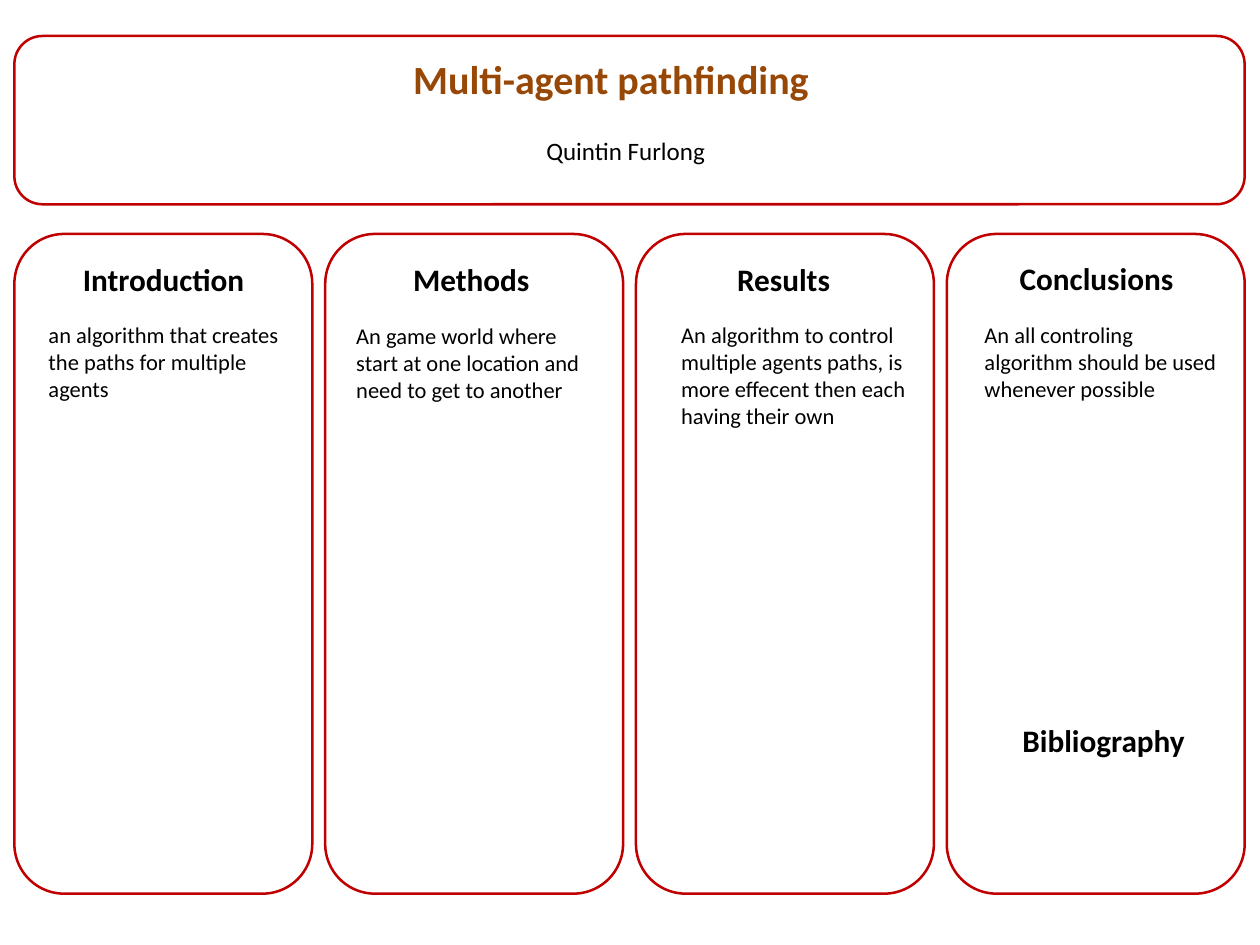
from dataclasses import dataclass

from pptx import Presentation
from pptx.dml.color import RGBColor
from pptx.enum.shapes import MSO_SHAPE as Shape
from pptx.enum.text import MSO_ANCHOR as Anchor, PP_ALIGN as Align
from pptx.util import Inches, Pt

# Boxes are left, top, width, height in inches.
TITLE = ("Multi-agent pathfinding", (4.45, 0.54, 6.18, 0.68))
AUTHOR = ("Quintin Furlong", (5.93, 1.43, 2.06, 0.48))
SECTIONS = [
    dict(heading="Introduction", heading_box=(0.78, 2.82, 2.1, 0.56),
         body="an algorithm that creates the paths for multiple agents",
         body_box=(0.44, 3.52, 2.82, 6.46)),
    dict(heading="Methods", heading_box=(4.45, 2.82, 1.59, 0.56),
         body="An game world where start at one location and need to get to another",
         body_box=(3.86, 3.53, 2.82, 4.04)),
    dict(heading="Results", heading_box=(8.05, 2.82, 1.33, 0.56),
         body="An algorithm to control multiple agents paths, is more effecent "
              "then each having their own",
         body_box=(7.47, 3.52, 2.82, 3.13)),
    dict(heading="Conclusions", heading_box=(11.19, 2.81, 1.99, 0.57),
         body="An all controling algorithm should be used whenever possible",
         body_box=(10.84, 3.52, 2.82, 3.13)),
]
BIBLIOGRAPHY = ("Bibliography", (11.22, 7.94, 2.11, 0.56))

LEFT, BANNER_WIDTH = 0.16, 13.67
BANNER_TOP, BANNER_HEIGHT = 0.4, 1.87
COLUMN_TOP, COLUMN_WIDTH, COLUMN_HEIGHT = 2.6, 3.31, 7.33


@dataclass(frozen=True)
class Theme:
    """Colours, font and type sizes of the poster."""
    font: str = "Calibri"
    paper: str = "FFFFFF"
    border: str = "C00000"
    title: str = "974806"
    ink: str = "000000"
    border_pt: int = 2
    title_pt: int = 32
    heading_pt: int = 25
    author_pt: int = 20
    body_pt: int = 18


THEME = Theme()


def rgb(value):
    """Turn a hex string into a colour."""
    return RGBColor.from_string(value)


def add_panel(slide, box):
    """Draw a rounded panel with a coloured border."""
    panel = slide.shapes.add_shape(Shape.ROUNDED_RECTANGLE, *map(Inches, box))
    panel.adjustments[0] = 0.167
    panel.shadow.inherit = False
    panel.fill.solid()
    panel.fill.fore_color.rgb = rgb(THEME.paper)
    panel.line.color.rgb = rgb(THEME.border)
    panel.line.width = Pt(THEME.border_pt)


def add_text(slide, text, box, *, size, color=THEME.ink, bold=False,
             wrap=False, inset=(0.14, 0.07)):
    """Place left-aligned text in a box."""
    frame = slide.shapes.add_textbox(*map(Inches, box)).text_frame
    frame.word_wrap = wrap
    frame.vertical_anchor = Anchor.TOP
    frame.margin_left = frame.margin_right = Inches(inset[0])
    frame.margin_top = frame.margin_bottom = Inches(inset[1])
    paragraph = frame.paragraphs[0]
    paragraph.alignment = Align.LEFT
    run = paragraph.add_run()
    run.text = text
    run.font.name = THEME.font
    run.font.size = Pt(size)
    run.font.bold = bold
    run.font.color.rgb = rgb(color)


def build():
    """Build and save the poster."""
    deck = Presentation()
    deck.slide_width, deck.slide_height = Inches(14), Inches(10.5)
    poster = deck.slides.add_slide(deck.slide_layouts[6])

    add_panel(poster, (LEFT, BANNER_TOP, BANNER_WIDTH, BANNER_HEIGHT))
    pitch = (BANNER_WIDTH - COLUMN_WIDTH) / (len(SECTIONS) - 1)
    for index in range(len(SECTIONS)):
        add_panel(poster, (LEFT + index * pitch, COLUMN_TOP,
                           COLUMN_WIDTH, COLUMN_HEIGHT))

    add_text(poster, *TITLE, size=THEME.title_pt, color=THEME.title,
             bold=True, wrap=True)
    add_text(poster, *AUTHOR, size=THEME.author_pt)
    headings = [(s["heading"], s["heading_box"]) for s in SECTIONS]
    for heading, box in headings + [BIBLIOGRAPHY]:
        add_text(poster, heading, box, size=THEME.heading_pt, bold=True)
    for section in SECTIONS:
        add_text(poster, section["body"], section["body_box"],
                 size=THEME.body_pt, wrap=True, inset=(0.1, 0.05))

    deck.save("out.pptx")


build()
